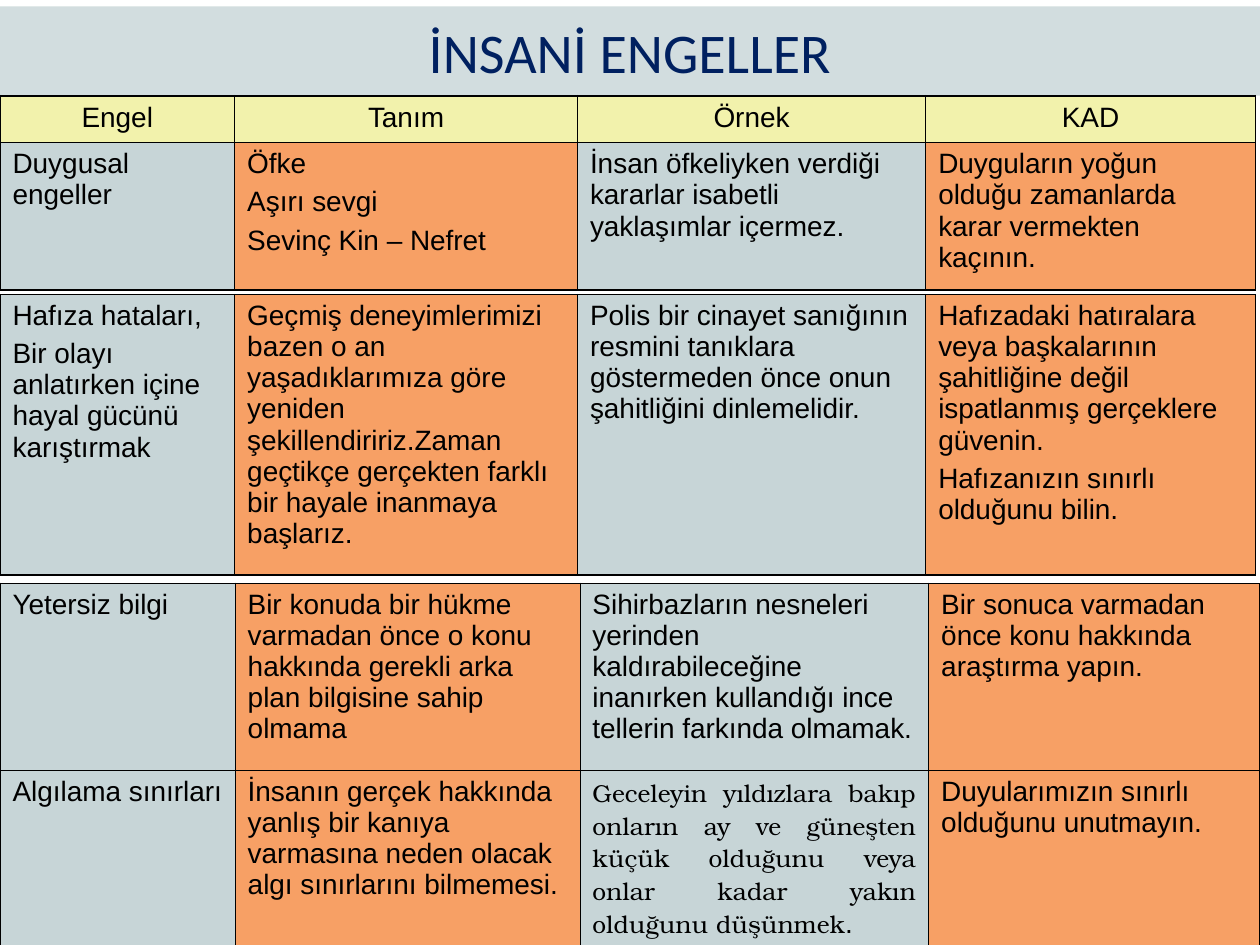
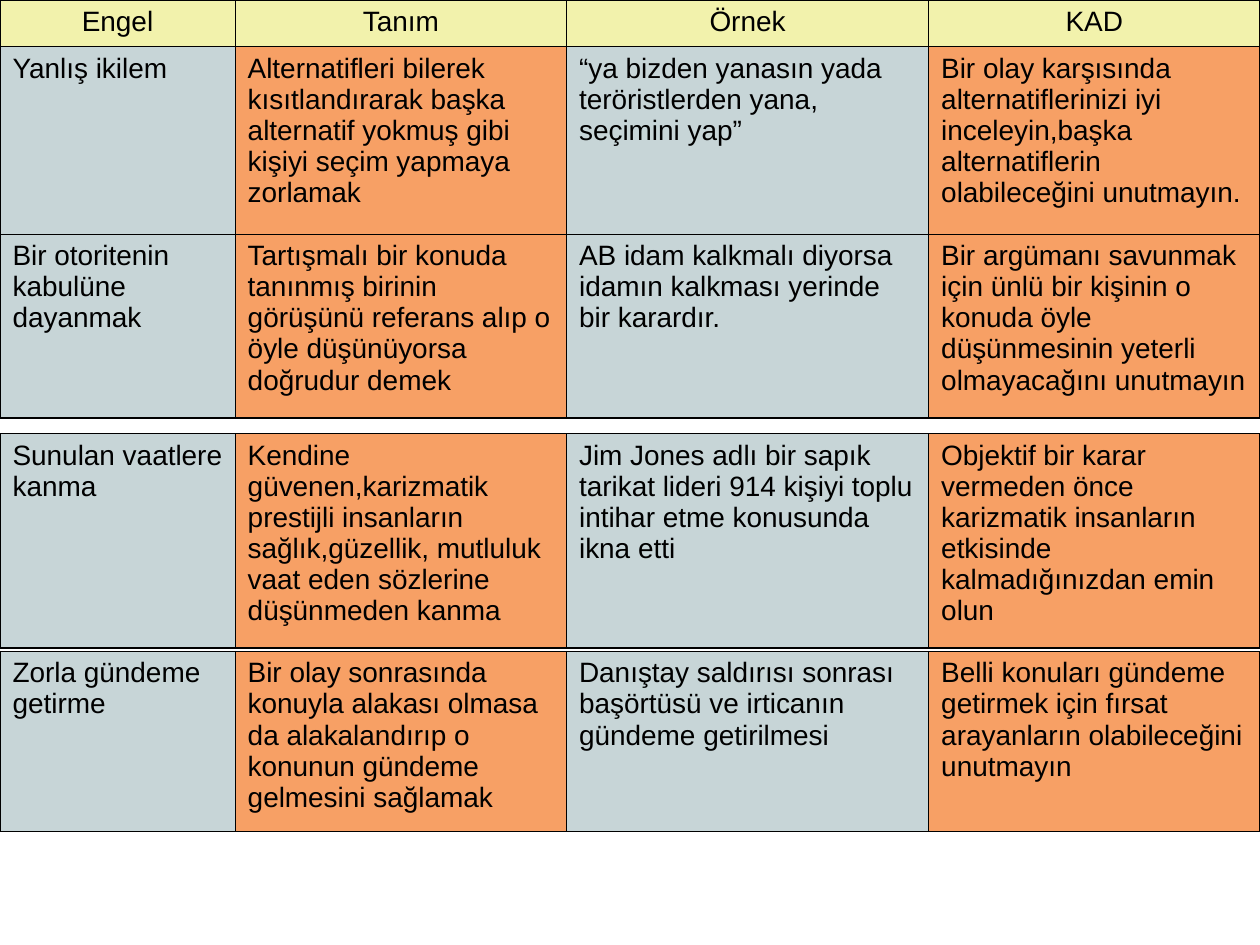
from dataclasses import dataclass
from typing import NamedTuple

from lxml import etree
from pptx import Presentation
from pptx import util as u
from pptx.dml.color import RGBColor
from pptx.enum import shapes, text
from pptx.oxml import ns


@dataclass(frozen=True)
class Theme:
    navy: str = "002060"
    black: str = "000000"
    grey: str = "C7D5D7"
    orange: str = "F7A065"
    yellow: str = "F2F2AC"
    title_font: str = "Calibri"
    body_font: str = "Arial"
    serif_font: str = "TeX Gyre Bonum"
    title_size: float = 32
    body_size: float = 16
    serif_size: float = 14
    para_gap: float = 4
    thin: float = 0.45
    thick: float = 1.08
    title_opacity: int = 80


THEME = Theme()
ALIGN = text.PP_ALIGN


class Run(NamedTuple):
    text: str
    font: str = THEME.body_font
    size: float = THEME.body_size
    color: str = THEME.black


class Para(NamedTuple):
    runs: list[Run]
    align: ALIGN = ALIGN.LEFT


@dataclass(frozen=True)
class Obstacle:
    name: list[Para]
    definition: list[Para]
    example: list[Para]
    advice: list[Para]

    def cells(self) -> list[list[Para]]:
        return [self.name, self.definition, self.example, self.advice]


@dataclass(frozen=True)
class Block:
    top: float
    height: float
    columns: tuple[float, ...]
    obstacle: Obstacle
    has_header: bool = False


def paras(*lines: str, align: ALIGN = ALIGN.LEFT) -> list[Para]:
    return [Para([Run(line)], align) for line in lines]


HEADER_HEIGHT = 0.94
HEADER = [paras(label, align=ALIGN.CENTER) for label in ("Engel", "Tanım", "Örnek", "KAD")]
NARROW = (4.73, 6.91, 7.02, 6.65)
WIDE = (4.74, 6.95, 7.03, 6.68)
EVEN = (4.74, 6.68, 7.3, 6.68)

HUMAN_OBSTACLES = [
    Block(1.93, 2.97, NARROW, Obstacle(
        paras("Duygusal engeller"),
        paras("Öfke", "Aşırı sevgi", "Sevinç Kin – Nefret"),
        paras("İnsan öfkeliyken verdiği kararlar isabetli yaklaşımlar içermez."),
        paras("Duyguların yoğun olduğu zamanlarda karar vermekten kaçının."),
    ), has_header=True),
    Block(5.93, 5.66, NARROW, Obstacle(
        paras("Hafıza hataları,", "Bir olayı anlatırken içine hayal gücünü karıştırmak"),
        paras("Geçmiş deneyimlerimizi bazen o an yaşadıklarımıza göre yeniden "
              "şekillendiririz.Zaman geçtikçe gerçekten farklı bir hayale inanmaya başlarız."),
        paras("Polis bir cinayet sanığının resmini tanıklara göstermeden önce onun "
              "şahitliğini dinlemelidir."),
        paras("Hafızadaki hatıralara veya başkalarının şahitliğine değil ispatlanmış "
              "gerçeklere güvenin.", "Hafızanızın sınırlı olduğunu bilin."),
    )),
    Block(11.75, 3.78, WIDE, Obstacle(
        paras("Yetersiz bilgi"),
        paras("Bir konuda bir hükme varmadan önce o konu hakkında gerekli arka plan "
              "bilgisine sahip olmama"),
        paras("Sihirbazların nesneleri yerinden kaldırabileceğine inanırken kullandığı "
              "ince tellerin farkında olmamak."),
        paras("Bir sonuca varmadan önce konu hakkında araştırma yapın."),
    )),
    Block(15.52, 3.3, WIDE, Obstacle(
        paras("Algılama sınırları"),
        paras("İnsanın gerçek hakkında yanlış bir kanıya varmasına neden olacak algı "
              "sınırlarını bilmemesi."),
        [Para([
            Run("Geceleyin yıldızlara bakıp onların ay ve güneşten küçük olduğunu veya "
                "onlar kadar yakın olduğunu düşünmek", THEME.serif_font, THEME.serif_size),
            Run("."),
        ], ALIGN.JUSTIFY)],
        paras("Duyularımızın sınırlı olduğunu unutmayın."),
    )),
]

SOCIAL_OBSTACLES = [
    Block(0, 3.79, EVEN, Obstacle(
        paras("Yanlış ikilem"),
        paras("Alternatifleri bilerek kısıtlandırarak başka alternatif yokmuş gibi kişiyi "
              "seçim yapmaya zorlamak"),
        paras("“ya bizden yanasın yada teröristlerden yana, seçimini yap”"),
        paras("Bir olay karşısında alternatiflerinizi iyi inceleyin,başka alternatiflerin "
              "olabileceğini unutmayın."),
    ), has_header=True),
    Block(4.72, 3.71, EVEN, Obstacle(
        paras("Bir otoritenin kabulüne dayanmak"),
        paras("Tartışmalı bir konuda tanınmış birinin görüşünü referans alıp o öyle "
              "düşünüyorsa doğrudur demek"),
        paras("AB idam kalkmalı diyorsa idamın kalkması yerinde bir karardır."),
        paras("Bir argümanı savunmak için ünlü bir kişinin o konuda öyle düşünmesinin "
              "yeterli olmayacağını unutmayın"),
    )),
    Block(8.74, 4.32, EVEN, Obstacle(
        paras("Sunulan vaatlere kanma"),
        paras("Kendine güvenen,karizmatik prestijli insanların sağlık,güzellik, mutluluk "
              "vaat eden sözlerine düşünmeden kanma"),
        paras("Jim Jones adlı bir sapık tarikat lideri 914 kişiyi toplu intihar etme "
              "konusunda ikna etti"),
        paras("Objektif bir karar vermeden önce karizmatik insanların etkisinde "
              "kalmadığınızdan emin olun"),
    )),
    Block(13.13, 3.63, EVEN, Obstacle(
        paras("Zorla gündeme getirme"),
        paras("Bir olay sonrasında konuyla alakası olmasa da alakalandırıp o konunun "
              "gündeme gelmesini sağlamak"),
        paras("Danıştay saldırısı sonrası başörtüsü ve irticanın gündeme getirilmesi"),
        paras("Belli konuları gündeme getirmek için fırsat arayanların olabileceğini "
              "unutmayın"),
    )),
]


def write(tf, content: list[Para]) -> None:
    tf.word_wrap = True
    for i, para in enumerate(content):
        p = tf.add_paragraph() if i else tf.paragraphs[0]
        p.alignment = para.align
        if i:
            p.space_before = u.Pt(THEME.para_gap)
        for run in para.runs:
            r = p.add_run()
            r.text = run.text
            r.font.name = run.font
            r.font.size = u.Pt(run.size)
            r.font.color.rgb = RGBColor.from_string(run.color)


def paint(fill, color: str) -> None:
    fill.solid()
    fill.fore_color.rgb = RGBColor.from_string(color)


def add_border(cell, side: str, width: float) -> None:
    tc_pr = cell._tc.get_or_add_tcPr()
    ln = etree.SubElement(tc_pr, ns.qn(f"a:ln{side}"), w=str(u.Pt(width)))
    solid = etree.SubElement(ln, ns.qn("a:solidFill"))
    etree.SubElement(solid, ns.qn("a:srgbClr"), val=THEME.black)


def add_title(slide, title: str) -> None:
    sp = slide.shapes.add_shape(shapes.MSO_SHAPE.RECTANGLE,
                                u.Cm(0), u.Cm(0.13), u.Cm(25.4), u.Cm(1.8))
    sp.shadow.inherit = False
    paint(sp.fill, THEME.grey)
    color = sp.fill._xPr.find(".//" + ns.qn("a:srgbClr"))
    etree.SubElement(color, ns.qn("a:alpha"), val=str(THEME.title_opacity * 1000))
    sp.line.fill.background()
    sp.text_frame.vertical_anchor = text.MSO_ANCHOR.MIDDLE
    run = Run(title, THEME.title_font, THEME.title_size, THEME.navy)
    write(sp.text_frame, [Para([run], ALIGN.CENTER)])


def add_block(slide, block: Block) -> None:
    rows = [block.obstacle.cells()]
    heights = [block.height]
    if block.has_header:
        rows.insert(0, HEADER)
        heights.insert(0, HEADER_HEIGHT)
    last_row, last_col = len(rows) - 1, len(block.columns) - 1
    table = slide.shapes.add_table(len(rows), len(block.columns), u.Cm(0), u.Cm(block.top),
                                   u.Cm(sum(block.columns)), u.Cm(sum(heights))).table
    table.first_row = table.horz_banding = False
    for column, width in zip(table.columns, block.columns):
        column.width = u.Cm(width)
    for i, (contents, height) in enumerate(zip(rows, heights)):
        table.rows[i].height = u.Cm(height)
        is_header = block.has_header and i == 0
        for j, content in enumerate(contents):
            cell = table.cell(i, j)
            write(cell.text_frame, content)
            edges = {"L": j == 0, "R": j == last_col, "T": is_header, "B": i == last_row}
            for side, outer in edges.items():
                add_border(cell, side, THEME.thick if outer else THEME.thin)
            body_color = THEME.orange if j % 2 else THEME.grey
            paint(cell.fill, THEME.yellow if is_header else body_color)


def main() -> None:
    prs = Presentation()
    prs.slide_width, prs.slide_height = u.Cm(25.4), u.Cm(19.05)
    for title, blocks in (("İNSANİ ENGELLER", HUMAN_OBSTACLES), ("", SOCIAL_OBSTACLES)):
        slide = prs.slides.add_slide(prs.slide_layouts[6])
        if title:
            add_title(slide, title)
        for block in blocks:
            add_block(slide, block)
    prs.save("out.pptx")


if __name__ == "__main__":
    main()
